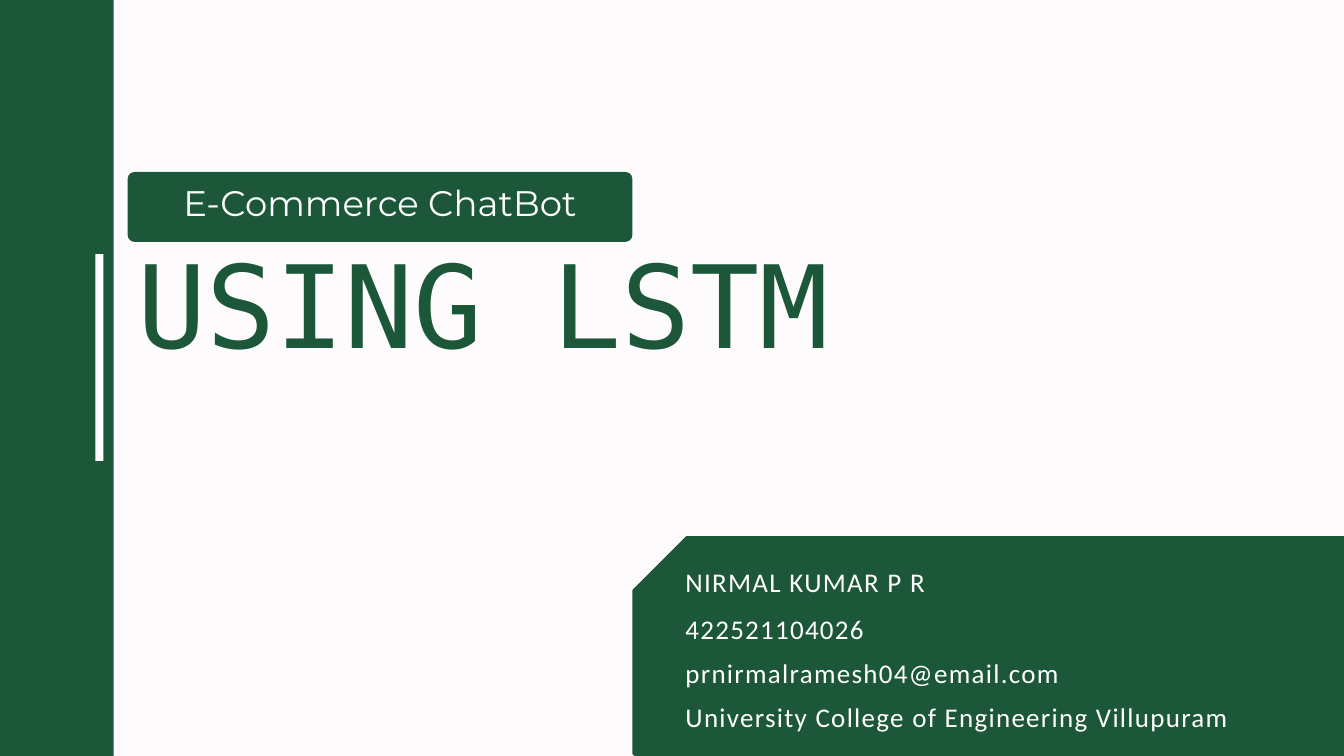
from pptx import Presentation
from pptx import util as u
from pptx.dml.color import RGBColor
from pptx.enum import shapes, text

GREEN, WHITE, PAPER = "1C5739", "FFFFFF", "FDFBFB"


def paint(fill, color):
    fill.solid()
    fill.fore_color.rgb = RGBColor.from_string(color)


class Deck:
    """Holds the style and the current slide."""

    def __init__(self, width, height):
        self.prs = Presentation()
        self.prs.slide_width = u.Inches(width)
        self.prs.slide_height = u.Inches(height)
        self.slide = self.prs.slides.add_slide(self.prs.slide_layouts[6])
        paint(self.slide.background.fill, PAPER)

    def block(self, preset, box, color=GREEN, corner=None):
        shape = self.slide.shapes.add_shape(preset, *map(u.Inches, box))
        shape.shadow.inherit = False
        paint(shape.fill, color)
        shape.line.fill.background()
        if corner is not None:
            shape.adjustments[0] = corner / min(box[2:])

    def label(self, words, box, font, size, leading, color=WHITE, align=None,
              anchor=text.MSO_ANCHOR.TOP, inset=0, tracking=0):
        frame = self.slide.shapes.add_textbox(*map(u.Inches, box)).text_frame
        frame.word_wrap = True
        frame.vertical_anchor = anchor
        frame.margin_left = frame.margin_right = u.Inches(inset)
        frame.margin_top = frame.margin_bottom = u.Inches(inset)
        paragraph = frame.paragraphs[0]
        paragraph.alignment = align
        paragraph.line_spacing = u.Pt(leading)
        run = paragraph.add_run()
        run.text = words
        run.font.name = font
        run.font.size = u.Pt(size)
        paint(run.font.fill, color)
        if tracking:
            run._r.get_or_add_rPr().set("spc", str(round(tracking * 100)))


def main():
    deck = Deck(20, 11.25)
    preset = shapes.MSO_SHAPE

    # Contact panel with cut corners, bleeding off the lower right
    deck.block(preset.OCTAGON, (9.41, 7.98, 12.51, 4.04), corner=0.8)

    # Left band and its white accent
    deck.block(preset.RECTANGLE, (-1.69, -0.61, 3.38, 12.36))
    deck.block(preset.RECTANGLE, (1.42, 3.78, 0.12, 3.08), WHITE)

    # Topic badge
    deck.block(preset.ROUNDED_RECTANGLE, (1.9, 2.56, 7.51, 1.04), corner=0.1)
    deck.label("E-Commerce ChatBot", (1.9, 2.38, 7.51, 1.21), "Montserrat",
               38, 49.4, align=text.PP_ALIGN.CENTER,
               anchor=text.MSO_ANCHOR.MIDDLE, inset=0.06)

    # Title
    deck.label("USING LSTM", (2.04, 3.89, 11.76, 1.94), "DejaVu Sans Mono",
               123.1, 118.1, GREEN)

    # Contact details
    contacts = [
        ("NIRMAL KUMAR P R", 8.33, 4.31),
        ("422521104026", 9.03, 4.31),
        ("prnirmalramesh04@email.com", 9.69, 6.64),
        ("University College of Engineering Villupuram", 10.35, 9.8),
    ]
    for detail, top, width in contacts:
        deck.label(detail, (10.2, top, width, 0.54), "Calibri", 28.9, 40.5,
                   align=text.PP_ALIGN.JUSTIFY, tracking=1.4)

    deck.prs.save("out.pptx")


if __name__ == "__main__":
    main()
